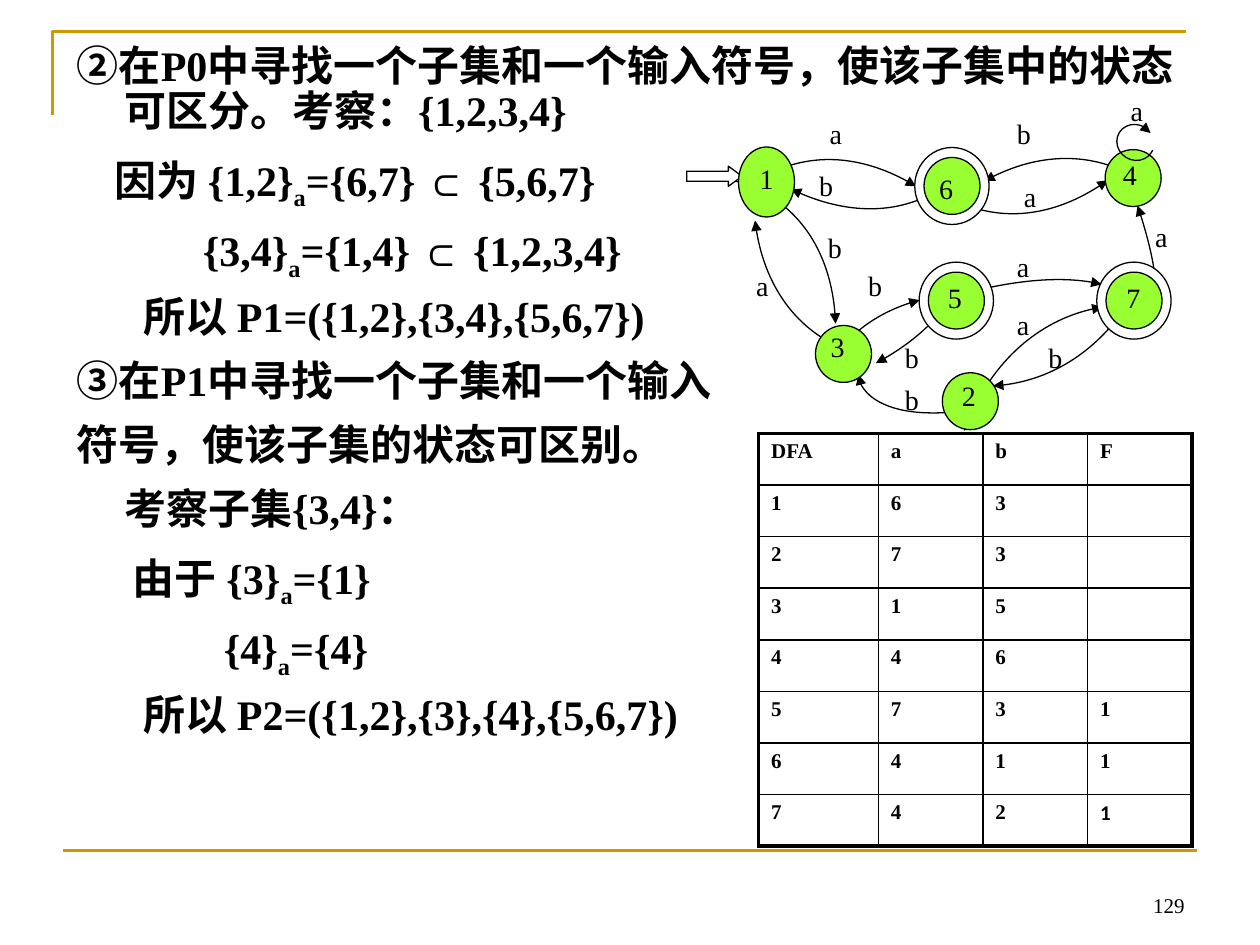
from lxml import etree
from pptx import Presentation
from pptx.dml.color import RGBColor
from pptx.enum import shapes as sh, text as tx
from pptx.oxml import ns
from pptx.util import Pt

ROMAN = "Times New Roman"
BLACK, GOLD, GREEN, WHITE = "000000", "CC9900", "99FF33", "FFFFFF"

LINES = [
    (27, -27, "②在P0中寻找一个子集和一个输入符号，使该子集中的状态可区分。考察：{1,2,3,4}"),
    (21.5, 0, "因为 {1,2}|a|={6,7} ⊂ {5,6,7}"),
    (72, 0, "{3,4}|a|={1,4} ⊂ {1,2,3,4}"),
    (38, 0, "所以 P1=({1,2},{3,4},{5,6,7})"),
    (27, -27, "③在P1中寻找一个子集和一个输入"),
    (27, -27, "符号，使该子集的状态可区别。"),
    (27, 0, "考察子集{3,4}："),
    (32, 0, "由于 {3}|a|={1}"),
    (84, 0, "{4}|a|={4}"),
    (38, 0, "所以 P2=({1,2},{3},{4},{5,6,7})"),
]
ROWS = ["DFA a b F", "1 6 3", "2 7 3", "3 1 5", "4 4 6",
        "5 7 3 1", "6 4 1 1", "7 4 2 1"]
EDGES = [
    [(172, 117), (199, 111), (225.5, 110.5), (239.5, 114.5)],
    [(84, 158.5), (97.5, 140.5), (116, 128.5), (135.5, 123.5)],
    [(153, 124), (141.5, 139), (126, 151.5), (110.5, 159.5)],
    [(153, 187.5), (149, 188), (146, 188), (143, 188),
     (120, 188), (100.5, 178), (100.5, 166)],
    [(267.5, 124), (273, 122), (269.5, 97.5), (260, 69.5)],
    [(102.5, 154.5), (101, 154), (99.5, 154), (98, 153.5),
     (67, 143.5), (45.5, 114.5), (41.5, 78)],
    [(30, 55.5), (35, 56.5), (39, 58.5), (43.5, 60.5),
     (70, 73.5), (86.5, 102.5), (87.5, 137)],
    [(269.5, 61.5), (269, 60), (267.5, 59.5), (266.5, 58.5),
     (240.5, 39), (204.5, 37.5), (172.5, 55.5)],
    [(143.5, 58.5), (147, 62), (151.5, 64.5), (156, 66.5),
     (182.5, 79.5), (215.5, 75), (243, 55)],
    [(159.5, 50.5), (158.5, 51.5), (157, 53), (156, 53.5),
     (131.5, 74.5), (95.5, 76.5), (62, 60)],
    [(34, 62), (37.5, 59.5), (41.5, 56.5), (45.5, 53.5),
     (71.5, 38.5), (104.5, 40.5), (133.5, 58.5)],
    [(161, 198), (161.5, 197), (162, 194.5), (163, 193),
     (177.5, 158), (207, 132.5), (240, 127.5)],
    [(263, 109), (261, 114), (258.5, 119), (256, 123.5),
     (238, 152), (208.5, 171), (177.5, 172.5)],
]
NODES = [
    ("1", 32, 36, 40, False, (5, 5)),
    ("2", 148.5, 165, 32.5, False, (4, 0)),
    ("3", 76, 138, 32.5, False, (1.5, -1)),
    ("4", 241.5, 37.5, 32.5, False, (3, 1)),
    ("5", 140.5, 107.5, 32.5, True, (4, 1.5)),
    ("6", 138, 42, 32.5, True, (1.5, 4.5)),
    ("7", 242, 107.5, 32.5, True, (4.5, 1.5)),
]
MARKS = {
    "a": [(77, 15), (184, 124), (35, 102), (263, 74), (188, 51), (184, 91), (249, 2)],
    "b": [(120, 143), (71, 45), (76, 80), (120, 167), (99, 102), (184, 15), (202, 143)],
}


def color(code):
    return RGBColor.from_string(code)


def write(para, words, size=16, face=ROMAN, bold=False, base=0):
    run = para.add_run()
    run.text = words
    font = run.font
    font.size, font.name, font.bold = Pt(size), face, bold
    font.color.rgb = color(BLACK)
    if base:
        font._element.set("baseline", str(base * 1000))


def style(shape, fill=None, line=BLACK, width=0.75, head=False):
    shape.shadow.inherit = False
    if fill:
        shape.fill.solid()
        shape.fill.fore_color.rgb = color(fill)
    else:
        shape.fill.background()
    shape.line.color.rgb = color(line)
    shape.line.width = Pt(width)
    if head:
        etree.SubElement(shape.line._get_or_add_ln(), ns.qn("a:tailEnd"), type="triangle")


def preset(slide, kind, x, y, w, h, **fmt):
    shape = slide.shapes.add_shape(kind, Pt(x), Pt(y), Pt(w), Pt(h))
    style(shape, **fmt)
    return shape


def label(slide, words, x, y, w=32, h=33, align="JUSTIFY", anchor="TOP", **fmt):
    frame = slide.shapes.add_textbox(Pt(x), Pt(y), Pt(w), Pt(h)).text_frame
    frame.word_wrap = True
    frame.vertical_anchor = tx.MSO_ANCHOR[anchor]
    frame.paragraphs[0].alignment = tx.PP_ALIGN[align]
    write(frame.paragraphs[0], words, **fmt)


def outline(slide, x, y, spots):
    spots = [(Pt(x + a), Pt(y + b)) for a, b in spots]
    pen = slide.shapes.build_freeform(*spots[0])
    pen.add_line_segments(spots[1:], close=False)
    return pen.convert_to_shape()


def curve(slide, x, y, spots):
    shape = outline(slide, x, y, spots)
    steps = shape._element.xpath(".//a:lnTo")
    track = steps[0].getparent()
    for i in range(0, len(steps), 3):
        bend = etree.SubElement(track, ns.qn("a:cubicBezTo"))
        for step in steps[i:i + 3]:
            bend.append(step[0])
            track.remove(step)
    style(shape, head=True)


def frame(slide, x, y, w, h):
    style(outline(slide, x, y, [(0, 48), (0, 0), (w, 0)]), line=GOLD, width=1.5)
    rule = slide.shapes.add_connector(
        sh.MSO_CONNECTOR.STRAIGHT, Pt(x + 6), Pt(y + h), Pt(x + 6 + w), Pt(y + h))
    rule.line.color.rgb = color(GOLD)
    rule.line.width = Pt(1.5)
    etree.SubElement(rule._element.spPr, ns.qn("a:effectLst"))


def body(slide, x, y, w, h):
    title = slide.shapes.title._element
    title.getparent().remove(title)
    box = slide.placeholders[1]
    box.left, box.top, box.width, box.height = Pt(x), Pt(y), Pt(w), Pt(h)
    area = box.text_frame
    area.auto_size = tx.MSO_AUTO_SIZE.NONE
    for i, (left, first, words) in enumerate(LINES):
        para = area.add_paragraph() if i else area.paragraphs[0]
        para.line_spacing = 0.9
        para.space_before, para.space_after = Pt(4.8), Pt(6)
        props = para._p.get_or_add_pPr()
        props.set("marL", str(Pt(left)))
        props.set("indent", str(Pt(first)))
        etree.SubElement(props, ns.qn("a:buNone"))
        for j, part in enumerate(words.split("|")):
            write(para, part, size=24, bold=True, base=-25 * (j % 2))


def border(cell, widths):
    props = cell._tc.get_or_add_tcPr()
    for i, (side, width) in enumerate(zip("LRTB", widths)):
        line = etree.Element(ns.qn("a:ln" + side), w=str(Pt(width)))
        fill = etree.SubElement(line, ns.qn("a:solidFill"))
        etree.SubElement(fill, ns.qn("a:srgbClr"), val=BLACK)
        props.insert(i, line)


def grid(slide, x, y, w, h):
    rows, cols = len(ROWS), 4
    table = slide.shapes.add_table(rows, cols, Pt(x), Pt(y), Pt(w), Pt(h)).table
    table.first_row = table.horz_banding = False
    for c in range(cols):
        table.columns[c].width = Pt((w - 68.4) / 3 if c else 68.4)
    for r, row in enumerate(ROWS):
        table.rows[r].height = Pt(h / rows)
        for c, words in enumerate(row.split()):
            para = table.cell(r, c).text_frame.paragraphs[0]
            if r == 0 or c < 3:
                para.space_before = Pt(5.8)
            last = r == rows - 1 and c == cols - 1
            write(para, words, size=12, bold=True, face="Calibri" if last else ROMAN)
        for c in range(cols):
            cell = table.cell(r, c)
            cell.fill.background()
            outer = (c == 0, c == cols - 1, r == 0, r == rows - 1)
            border(cell, [2.25 if edge else 1 for edge in outer])


def graph(slide, x, y):
    for spots in EDGES:
        curve(slide, x, y, spots)
    start = preset(slide, sh.MSO_SHAPE.RIGHT_ARROW, x + 2.4, y + 47, 31.7, 11.5, fill=WHITE)
    start.adjustments[1] = 0.68
    oval = sh.MSO_SHAPE.OVAL
    for name, a, b, h, final, (dx, dy) in NODES:
        if final:
            preset(slide, oval, x + a - 5.3, y + b - 5.7, 42.5, 44, fill=WHITE)
        preset(slide, oval, x + a, y + b, 32, h, fill=GREEN)
        label(slide, name, x + a + dx, y + b + dy)
    for name, spots in MARKS.items():
        for a, b in spots:
            label(slide, name, x + a, y + b)
    loop = preset(slide, sh.MSO_SHAPE.ARC, x + 248, y + 23.3, 21.6, 20.2, head=True)
    loop.adjustments[0], loop.adjustments[1] = 172.11 * 0.6, 116.72 * 0.6
    loop.rotation = 211.9


def main():
    deck = Presentation()
    deck.slide_width, deck.slide_height = Pt(720), Pt(540)
    slide = deck.slides.add_slide(deck.slide_layouts[1])
    frame(slide, 30, 18, 648, 468)
    body(slide, 36.7, 22.3, 648, 474.5)
    label(slide, "129", 516, 492, 168, 36, align="RIGHT", anchor="BOTTOM", size=12)
    grid(slide, 433.5, 247.7, 247.7, 236)
    graph(slide, 390, 48)
    deck.save("out.pptx")


if __name__ == "__main__":
    main()
